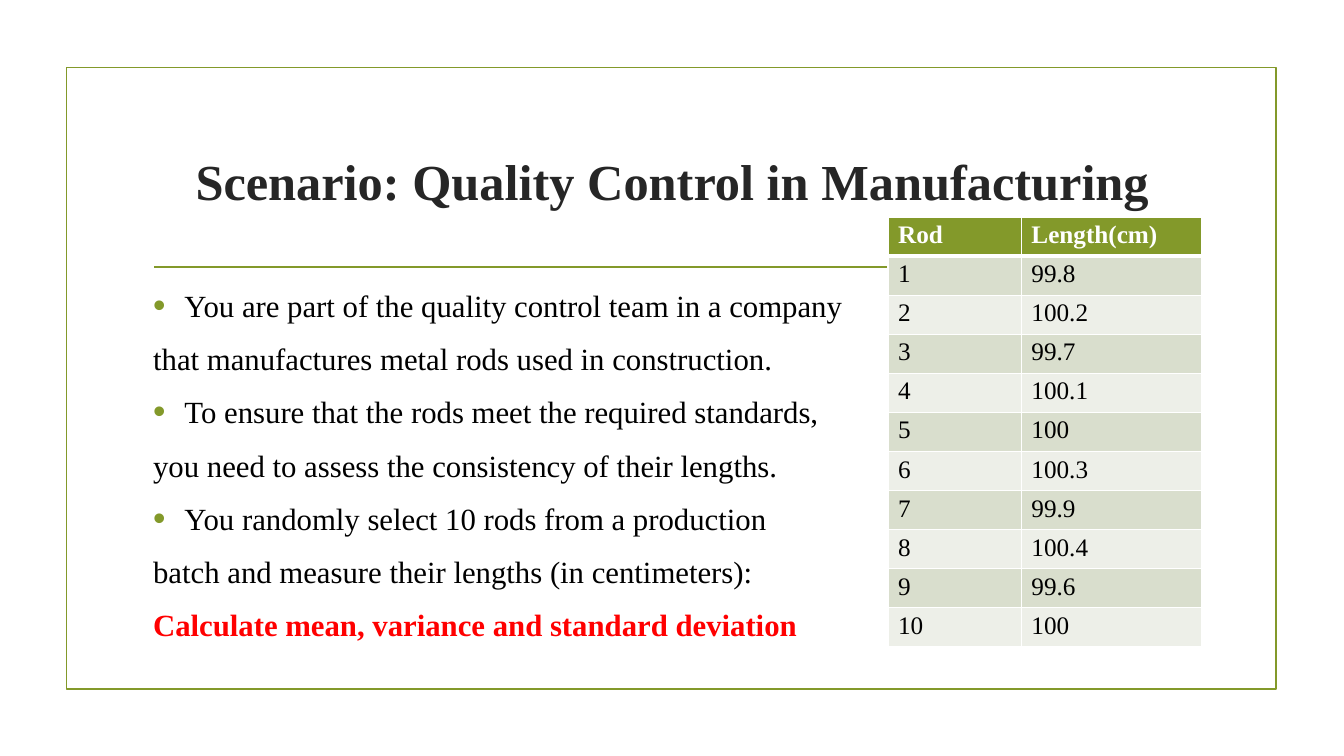
from lxml import etree
from pptx import Presentation
from pptx.dml.color import RGBColor
from pptx.enum.shapes import MSO_CONNECTOR, MSO_SHAPE
from pptx.enum.text import MSO_ANCHOR, PP_ALIGN
from pptx.oxml.ns import qn
from pptx.util import Cm, Pt

RECTANGLE, STRAIGHT = MSO_SHAPE.RECTANGLE, MSO_CONNECTOR.STRAIGHT
MIDDLE, CENTER = MSO_ANCHOR.MIDDLE, PP_ALIGN.CENTER

# Content
TITLE = "Scenario: Quality Control in Manufacturing"
BULLETED, PLAIN, TASK = "bulleted", "plain", "task"
BODY = [
    (BULLETED, "You are part of the quality control team in a company"),
    (PLAIN, "that manufactures metal rods used in construction."),
    (BULLETED, "To ensure that the rods meet the required standards,"),
    (PLAIN, "you need to assess the consistency of their lengths."),
    (BULLETED, "You randomly select 10 rods from a production"),
    (PLAIN, "batch and measure their lengths (in centimeters):"),
    (TASK, "Calculate mean, variance and standard deviation"),
]
HEADER = ("Rod", "Length(cm)")
LENGTHS = ["99.8", "100.2", "99.7", "100.1", "100", "100.3", "99.9", "100.4", "99.6", "100"]

FONT = "Times New Roman"
GREEN = RGBColor(0x83, 0x99, 0x2A)
DARK = RGBColor(0x26, 0x26, 0x26)
BLACK = RGBColor(0, 0, 0)
WHITE = RGBColor(0xFF, 0xFF, 0xFF)
RED = RGBColor(0xFF, 0, 0)
BANDS = (RGBColor(0xED, 0xEF, 0xE8), RGBColor(0xD9, 0xDE, 0xCD))
COLUMN_WIDTHS = (3.36, 4.55)
ROW_HEIGHT = 0.96


def format_runs(p, size, color, bold=False):
    for r in p.runs:
        r.font.name, r.font.size = FONT, Pt(size)
        r.font.color.rgb, r.font.bold = color, bold


def add_bullet(p):
    pPr = p._p.get_or_add_pPr()
    pPr.set("marL", str(Cm(0.79)))
    pPr.set("indent", str(-Cm(0.79)))
    color = etree.SubElement(pPr, qn("a:buClr"))
    etree.SubElement(color, qn("a:srgbClr"), val=str(GREEN))
    etree.SubElement(pPr, qn("a:buSzPct"), val="115000")
    etree.SubElement(pPr, qn("a:buFont"), typeface="Arial")
    etree.SubElement(pPr, qn("a:buChar"), char="•")


def set_borders(cell, bottom):
    tcPr = cell._tc.get_or_add_tcPr()
    for i, (side, width) in enumerate((("lnL", 1), ("lnR", 1), ("lnT", 1), ("lnB", bottom))):
        ln = etree.Element(qn("a:" + side), w=str(Pt(width)))
        fill = etree.SubElement(ln, qn("a:solidFill"))
        etree.SubElement(fill, qn("a:srgbClr"), val=str(WHITE))
        tcPr.insert(i, ln)


prs = Presentation()
prs.slide_width, prs.slide_height = Cm(33.87), Cm(19.05)
s = prs.slides.add_slide(prs.slide_layouts[5])

# Frame and rule
frame = s.shapes.add_shape(RECTANGLE, Cm(1.68), Cm(1.7), Cm(30.48), Cm(15.67))
frame.shadow.inherit = False
frame.fill.background()
rule = s.shapes.add_connector(STRAIGHT, Cm(3.89), Cm(6.73), Cm(30), Cm(6.73))
etree.SubElement(rule._element.spPr, qn("a:effectLst"))
for sp in (frame, rule):
    sp.line.color.rgb, sp.line.width = GREEN, Pt(1.25)

# Title
title = s.shapes.title
title.left, title.top, title.width, title.height = Cm(3.61), Cm(2.72), Cm(26.67), Cm(3.63)
tf = title.text_frame
tf.text = TITLE
tf.vertical_anchor, tf.word_wrap = MIDDLE, True
tf.paragraphs[0].alignment = CENTER
format_runs(tf.paragraphs[0], 36, DARK, True)

# Body text
tf = s.shapes.add_textbox(Cm(3.61), Cm(7.11), Cm(26.67), Cm(9.22)).text_frame
tf.word_wrap = True
for i, (kind, text) in enumerate(BODY):
    p = tf.add_paragraph() if i else tf.paragraphs[0]
    p.text = text
    if kind == BULLETED:
        add_bullet(p)
    p.space_before, p.space_after = Pt(5.5 if i else 0), Pt(6)
    format_runs(p, 22, RED if kind == TASK else BLACK, kind == TASK)

# Table of rod lengths
rows = [HEADER] + [(str(n), length) for n, length in enumerate(LENGTHS, 1)]
table = s.shapes.add_table(len(rows), len(HEADER), Cm(22.38), Cm(5.47),
                           Cm(sum(COLUMN_WIDTHS)), Cm(ROW_HEIGHT * len(rows))).table
for column, width in zip(table.columns, COLUMN_WIDTHS):
    column.width = Cm(width)
for i, values in enumerate(rows):
    table.rows[i].height = Cm(ROW_HEIGHT)
    header = i == 0
    for j, value in enumerate(values):
        cell = table.cell(i, j)
        cell.text = value
        cell.margin_top = cell.margin_bottom = Cm(0.11)
        cell.fill.solid()
        cell.fill.fore_color.rgb = GREEN if header else BANDS[i % 2]
        set_borders(cell, 3 if header else 1)
        format_runs(cell.text_frame.paragraphs[0], 18, WHITE if header else BLACK, header)

prs.save("out.pptx")
